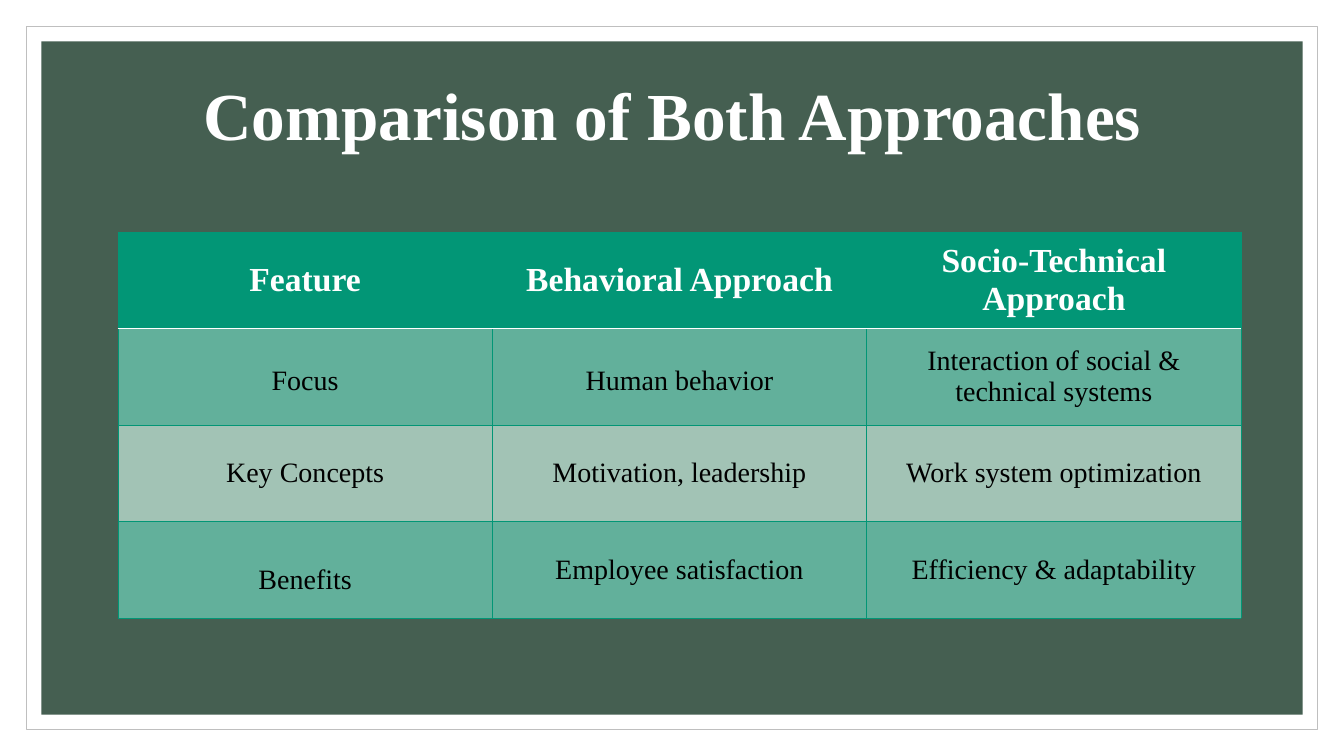
from pptx import Presentation
from pptx.dml.color import RGBColor
from pptx.enum.shapes import MSO_SHAPE
from pptx.enum.text import MSO_ANCHOR, PP_ALIGN
from pptx.oxml import parse_xml
from pptx.oxml.ns import nsdecls
from pptx.util import Inches, Pt

GREEN, WHITE, BLACK = "029676", "FFFFFF", "000000"
BANDS = ["62B09B", "A2C3B5"]


def paint(target, color):
    if hasattr(target, "solid"):
        target.solid()
        target = target.fore_color
    target.rgb = RGBColor.from_string(color)


def style(frame, size, color, bold):
    frame.word_wrap = True
    para = frame.paragraphs[0]
    para.alignment = PP_ALIGN.CENTER
    font = para.runs[0].font
    font.name = "Times New Roman"
    font.size = Pt(size)
    font.bold = bold
    paint(font.color, color)
    return para


deck = Presentation()
deck.slide_width, deck.slide_height = Inches(13.33), Inches(7.5)
slide = deck.slides.add_slide(deck.slide_layouts[5])
shapes = slide.shapes

for inset, color, edge in [(0.26, WHITE, "BFBFBF"), (0.41, "455F51", None)]:
    panel = shapes.add_shape(MSO_SHAPE.RECTANGLE, Inches(inset), Inches(inset),
                             Inches(13.33 - 2 * inset), Inches(7.5 - 2 * inset))
    panel.shadow.inherit = False
    paint(panel.fill, color)
    if edge:
        paint(panel.line.fill, edge)
        panel.line.width = Pt(0.5)
    else:
        panel.line.fill.background()

title = shapes.title
title.element.getparent().append(title.element)
title.left, title.top = Inches(0.41), Inches(0.43)
title.width, title.height = Inches(12.52), Inches(1.5)
title.text_frame.text = "Comparison of Both Approaches"
title.text_frame.vertical_anchor = MSO_ANCHOR.MIDDLE
style(title.text_frame, 48, WHITE, True).line_spacing = 0.9

rows = [
    ["Feature", "Behavioral Approach", "Socio-Technical Approach"],
    ["Focus", "Human behavior", "Interaction of social & technical systems"],
    ["Key Concepts", "Motivation, leadership", "Work system optimization"],
    ["Benefits", "Employee satisfaction", "Efficiency & adaptability"],
]
drops = {"Focus": 0.37, "Human behavior": 0.37, "Benefits": 0.43}

table = shapes.add_table(4, 3, Inches(1.17), Inches(2.3),
                         Inches(11.14), Inches(3.83)).table
for r, row in enumerate(rows):
    for c, text in enumerate(row):
        cell = table.cell(r, c)
        cell.text_frame.text = text
        head = r == 0
        style(cell.text_frame, 24 if head else 20, WHITE if head else BLACK, head)
        if text in drops:
            cell.vertical_anchor = MSO_ANCHOR.TOP
            cell.margin_top = Inches(drops[text])
        else:
            cell.vertical_anchor = MSO_ANCHOR.MIDDLE
        paint(cell.fill, GREEN if head else BANDS[(r - 1) % 2])
        props = cell._tc.get_or_add_tcPr()
        for i, side in enumerate("LRTB"):
            rule = (r, side) in [(0, "B"), (1, "T")]
            color, width = (WHITE, Pt(1)) if rule else (GREEN, Pt(0.5))
            props.insert(i, parse_xml(
                f'<a:ln{side} {nsdecls("a")} w="{width}"><a:solidFill>'
                f'<a:srgbClr val="{color}"/></a:solidFill></a:ln{side}>'))

deck.save("out.pptx")
